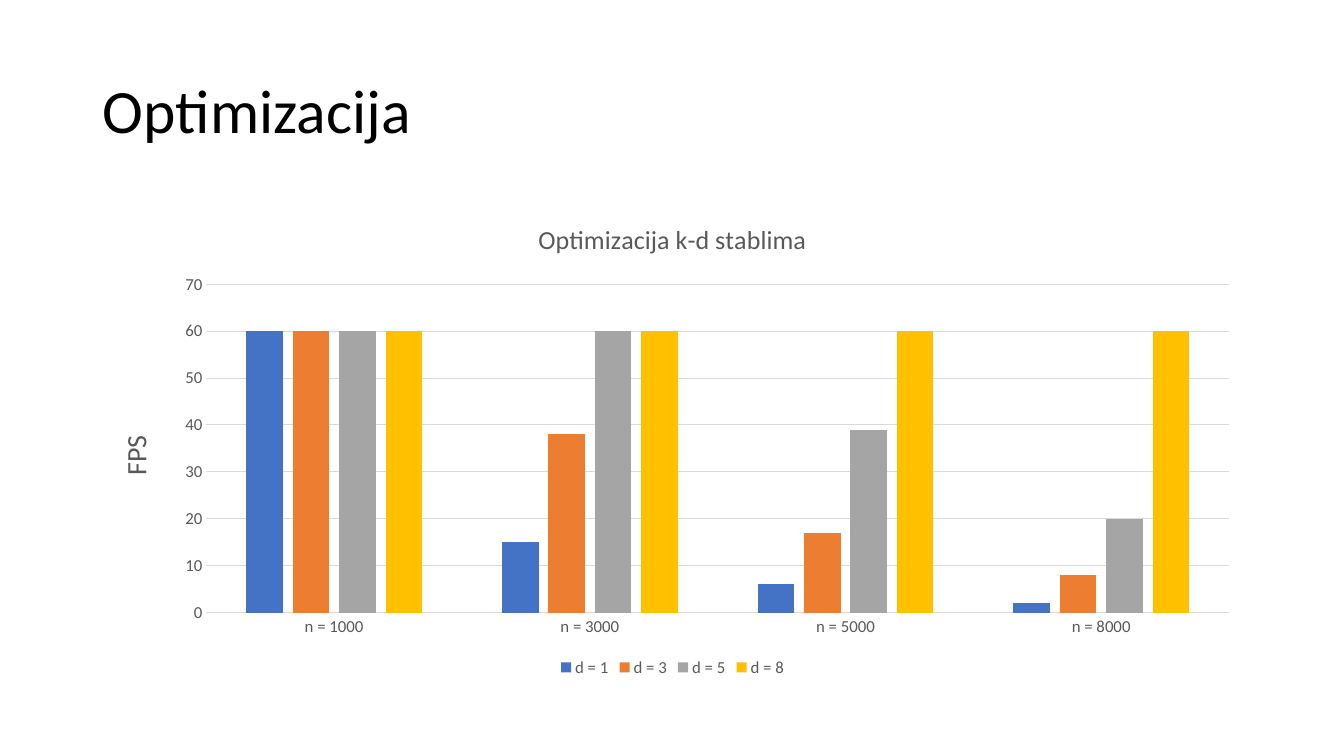
"""Build the slide comparing frame rates under k-d tree optimization."""
import pptx
import pptx.chart.data
import pptx.dml.color
import pptx.enum.chart
import pptx.enum.text
import pptx.util
from pptx.util import Inches

COLORS = {
    "title": "000000",
    "label": "595959",
    "grid": "D9D9D9",
    "d = 1": "4472C4",
    "d = 3": "ED7D31",
    "d = 5": "A5A5A5",
    "d = 8": "FFC000",
}
FRAME_RATES = {
    "d = 1": (60, 15, 6, 2),
    "d = 3": (60, 38, 17, 8),
    "d = 5": (60, 60, 39, 20),
    "d = 8": (60, 60, 60, 60),
}


def color(name):
    return pptx.dml.color.RGBColor.from_string(COLORS[name])


def style_font(font, size, color_name):
    font.name = "Calibri"
    font.size = pptx.util.Pt(size)
    font.bold = False
    font.color.rgb = color(color_name)


presentation = pptx.Presentation()
presentation.slide_width = Inches(13.33)
presentation.slide_height = Inches(7.5)
slide = presentation.slides.add_slide(presentation.slide_layouts[5])

title = slide.shapes.title
title.left, title.top = Inches(0.92), Inches(0.4)
title.width, title.height = Inches(11.5), Inches(1.45)
title.text_frame.text = "Optimizacija"
title.text_frame.vertical_anchor = pptx.enum.text.MSO_ANCHOR.MIDDLE
paragraph = title.text_frame.paragraphs[0]
paragraph.alignment = pptx.enum.text.PP_ALIGN.LEFT
paragraph.line_spacing = 0.9
style_font(paragraph.runs[0].font, 44, "title")

chart_data = pptx.chart.data.CategoryChartData()
chart_data.categories = [f"n = {count}" for count in (1000, 3000, 5000, 8000)]
for name, values in FRAME_RATES.items():
    chart_data.add_series(name, values)

chart = slide.shapes.add_chart(
    pptx.enum.chart.XL_CHART_TYPE.COLUMN_CLUSTERED,
    Inches(0.92), Inches(2), Inches(11.5), Inches(4.76), chart_data,
).chart
style_font(chart.font, 12, "label")

category_axis, value_axis = chart.category_axis, chart.value_axis
for heading, text, size in (
    (chart.chart_title, "Optimizacija k-d stablima", 18.6),
    (value_axis.axis_title, "FPS", 20),
):
    heading.text_frame.text = text
    style_font(heading.text_frame.paragraphs[0].runs[0].font, size, "label")
chart.chart_title.include_in_layout = False

for axis in (category_axis, value_axis):
    axis.major_tick_mark = pptx.enum.chart.XL_TICK_MARK.NONE
    axis.minor_tick_mark = pptx.enum.chart.XL_TICK_MARK.NONE
    style_font(axis.tick_labels.font, 12, "label")

for line in (category_axis.format.line, value_axis.major_gridlines.format.line):
    line.color.rgb = color("grid")
    line.width = pptx.util.Pt(0.75)
value_axis.format.line.fill.background()
value_axis.minimum_scale = 0
value_axis.maximum_scale = 70
value_axis.major_unit = 10

chart.has_legend = True
chart.legend.position = pptx.enum.chart.XL_LEGEND_POSITION.BOTTOM
chart.legend.include_in_layout = False
style_font(chart.legend.font, 12, "label")

plot = chart.plots[0]
plot.gap_width = 219
plot.overlap = -27
plot.vary_by_categories = False
for series in plot.series:
    series.format.fill.solid()
    series.format.fill.fore_color.rgb = color(series.name)

presentation.save("out.pptx")
